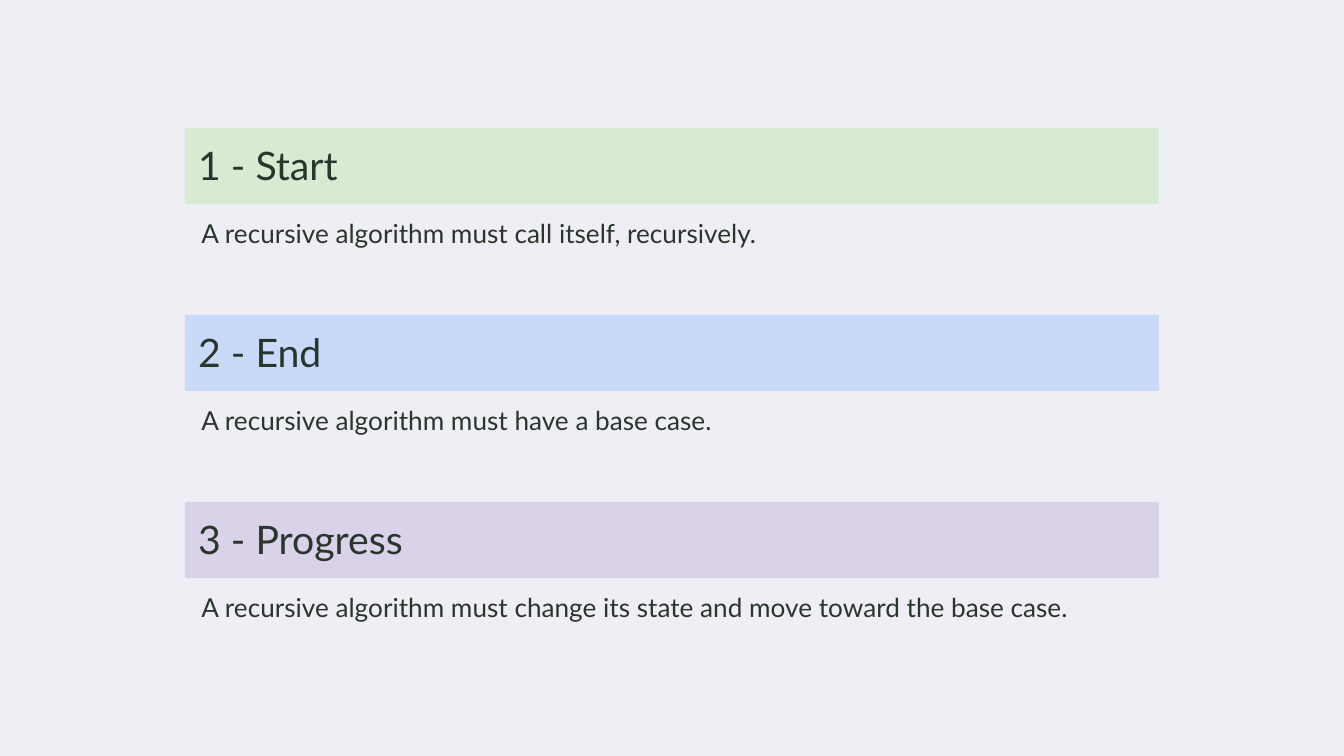
from typing import NamedTuple

from lxml.etree import SubElement
from pptx import Presentation
from pptx.dml.color import RGBColor
from pptx.dml.fill import FillFormat
from pptx.enum.shapes import MSO_SHAPE
from pptx.enum.text import MSO_ANCHOR, MSO_AUTO_SIZE, PP_ALIGN
from pptx.oxml.ns import qn
from pptx.slide import Slide
from pptx.text.text import TextFrame
from pptx.util import Emu, Inches, Pt

SLIDE_WIDTH, SLIDE_HEIGHT = 1344, 756
EMU_PER_PX = Inches(10) / SLIDE_WIDTH
COMPARISON_LAYOUT = 3 + 1

HEADING_LEFT, HEADING_WIDTH = 185, 974
DESCRIPTION_LEFT = 188
FIRST_TOP, RULE_PITCH = 128, 187
BAND_HEIGHT = 76

BACKGROUND = "EFEEF4"
INK = "2A362D"


class Rule(NamedTuple):
    heading: str
    description: str
    band_color: str
    description_width: int
    placeholder_idx: int


RULES = [
    Rule("1 - Start", "A recursive algorithm must call itself, recursively.", "D9EAD3", 754, 1),
    Rule("2 - End", "A recursive algorithm must have a base case.", "C9DAF8", 754, 2),
    Rule(
        "3 - Progress",
        "A recursive algorithm must change its state and move toward the base case.",
        "D9D2E9",
        970,
        3,
    ),
]


def px(length: int) -> Emu:
    return Emu(round(length * EMU_PER_PX))


def color(hex_code: str) -> RGBColor:
    return RGBColor.from_string(hex_code)


def paint(fill: FillFormat, hex_code: str) -> None:
    fill.solid()
    fill.fore_color.rgb = color(hex_code)


def write(frame: TextFrame, text: str, *, size: int, font: str = "Lato", ink: str = INK) -> None:
    frame.word_wrap = True
    frame.auto_size = MSO_AUTO_SIZE.NONE
    frame.vertical_anchor = MSO_ANCHOR.TOP
    frame.margin_left = frame.margin_right = Inches(0.1)
    frame.margin_top = frame.margin_bottom = Inches(0.1)
    paragraph = frame.paragraphs[0]
    paragraph.alignment = PP_ALIGN.LEFT
    paragraph.space_before = Pt(0)
    properties = paragraph._p.get_or_add_pPr()
    properties.set("marL", "0")
    properties.set("indent", "0")
    SubElement(properties, qn("a:buNone"))
    run = paragraph.add_run()
    run.text = text
    run.font.name = font
    run.font.size = Pt(size)
    run.font.bold = False
    run.font.color.rgb = color(ink)


def draw_rule(slide: Slide, rule: Rule, top: int) -> None:
    description = slide.placeholders[rule.placeholder_idx]
    description.left, description.top = px(DESCRIPTION_LEFT), px(top + BAND_HEIGHT)
    description.width, description.height = px(rule.description_width), px(BAND_HEIGHT)
    write(description.text_frame, rule.description, size=14)

    band = slide.shapes.add_shape(
        MSO_SHAPE.RECTANGLE, px(HEADING_LEFT), px(top), px(HEADING_WIDTH), px(BAND_HEIGHT)
    )
    band.shadow.inherit = False
    paint(band.fill, rule.band_color)
    band.line.fill.background()
    write(band.text_frame, rule.heading, size=21)


def main() -> None:
    deck = Presentation()
    deck.slide_width, deck.slide_height = px(SLIDE_WIDTH), px(SLIDE_HEIGHT)
    slide = deck.slides.add_slide(deck.slide_layouts[COMPARISON_LAYOUT])
    paint(slide.background.fill, BACKGROUND)

    for position, rule in enumerate(RULES):
        draw_rule(slide, rule, FIRST_TOP + position * RULE_PITCH)

    for placeholder in list(slide.placeholders):
        if not placeholder.text_frame.text:
            placeholder.element.getparent().remove(placeholder.element)

    deck.save("out.pptx")


if __name__ == "__main__":
    main()
